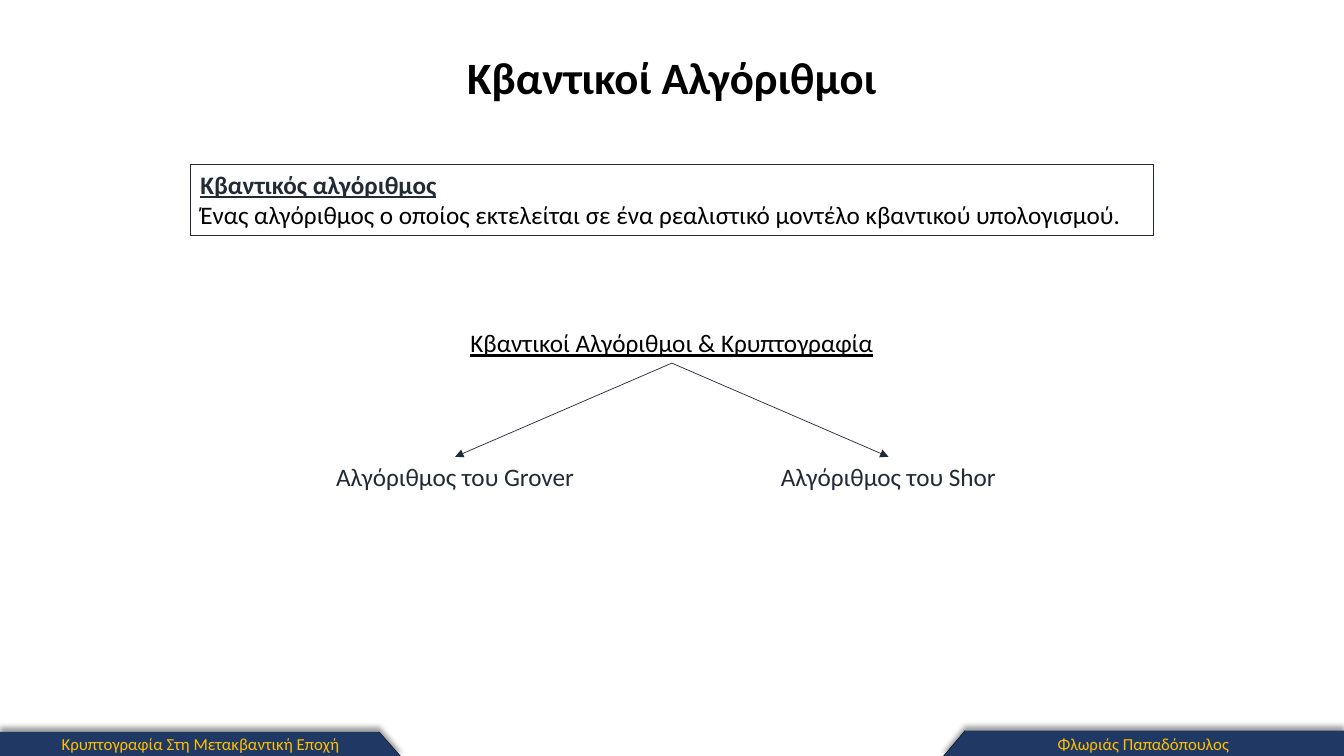
from lxml import etree
from pptx import Presentation
from pptx import util as u
from pptx.dml import color
from pptx.enum import shapes, text
from pptx.oxml import ns

INK, BLACK, NAVY, GOLD = "222A35", "000000", "203864", "FFC000"
WIDTH, HEIGHT = u.Cm(33.87), u.Cm(19.05)


def rgb(value):
    return color.RGBColor.from_string(value)


def write(paragraph, content, size=18, ink=INK, bold=False, underline=False, align=text.PP_ALIGN.CENTER):
    paragraph.alignment = align
    run = paragraph.add_run()
    run.text = content
    font = run.font
    font.name, font.size, font.bold, font.underline = "Calibri", u.Pt(size), bold, underline
    font.color.rgb = rgb(ink)


def place(shape, left, top, width, height):
    shape.left, shape.top, shape.width, shape.height = left, top, width, height


def add_title(slide, left, top, width, height):
    title = slide.shapes.title
    place(title, left, top, width, height)
    frame = title.text_frame
    frame.word_wrap = False
    frame.auto_size = text.MSO_AUTO_SIZE.SHAPE_TO_FIT_TEXT
    write(frame.paragraphs[0], "Κβαντικοί Αλγόριθμοι", size=32, ink=BLACK, bold=True)


def add_definition(slide, left, top, width, height):
    box = slide.shapes.add_shape(shapes.MSO_SHAPE.RECTANGLE, left, top, width, height)
    box.shadow.inherit = False
    box.fill.background()
    box.line.color.rgb = rgb(INK)
    box.line.width = u.Pt(0.75)
    frame = box.text_frame
    frame.word_wrap = True
    frame.auto_size = text.MSO_AUTO_SIZE.SHAPE_TO_FIT_TEXT
    frame.vertical_anchor = text.MSO_ANCHOR.TOP
    left_align = text.PP_ALIGN.LEFT
    write(frame.paragraphs[0], "Κβαντικός αλγόριθμος", bold=True, underline=True, align=left_align)
    write(frame.add_paragraph(),
          "Ένας αλγόριθμος ο οποίος εκτελείται σε ένα ρεαλιστικό μοντέλο κβαντικού υπολογισμού.",
          ink=BLACK, align=left_align)


def add_label(slide, content, left, top, width, **style):
    label = slide.shapes.add_textbox(left, top, width, u.Cm(1.02))
    label.text_frame.word_wrap = True
    label.text_frame.auto_size = text.MSO_AUTO_SIZE.SHAPE_TO_FIT_TEXT
    write(label.text_frame.paragraphs[0], content, **style)
    return label


def add_line(slide, start, end, ink, weight, arrow=False):
    line = slide.shapes.add_connector(shapes.MSO_CONNECTOR.STRAIGHT, *start, *end)
    line.line.color.rgb = rgb(ink)
    line.line.width = u.Pt(weight)
    if arrow:
        etree.SubElement(line.line._get_or_add_ln(), ns.qn("a:tailEnd"), type="triangle")
    etree.SubElement(line._element.spPr, ns.qn("a:effectLst"))
    return line


def add_tree(slide, left, top, width, height):
    root_width, leaf_width, leaf_height = u.Cm(10.74), u.Cm(6.68), u.Cm(1.02)
    root = add_label(slide, "Κβαντικοί Αλγόριθμοι & Κρυπτογραφία", left + (width - root_width) // 2,
                     top, root_width, ink=BLACK, underline=True)
    leaf_top = top + height - leaf_height
    for name, leaf_left in (("Grover", left), ("Shor", left + width - leaf_width)):
        leaf = add_label(slide, f"Αλγόριθμος του {name}", leaf_left, leaf_top, leaf_width)
        arrow = add_line(slide, (0, 0), (0, 0), INK, 0.5, arrow=True)
        arrow.begin_connect(root, 2)
        arrow.end_connect(leaf, 0)


def add_footer_tab(slide, content, left, top, width, height, slant_left):
    slant = u.Cm(0.56)
    right, bottom = left + width, top + height
    if slant_left:
        outer, tip, corner = right, left, left + slant
    else:
        outer, tip, corner = left, right, right - slant
    builder = slide.shapes.build_freeform(outer, top)
    builder.add_line_segments([(corner, top), (tip, bottom), (outer, bottom)], close=True)
    tab = builder.convert_to_shape()
    tab.fill.solid()
    tab.fill.fore_color.rgb = rgb(NAVY)
    tab.line.fill.background()
    tab.shadow.inherit = False
    effects = tab._element.spPr.find(ns.qn("a:effectLst"))
    shadow = etree.SubElement(effects, ns.qn("a:outerShdw"), blurRad=str(u.Pt(4)), dist=str(u.Pt(3)),
                              dir="16200000", rotWithShape="0")
    tint = etree.SubElement(shadow, ns.qn("a:srgbClr"), val=BLACK)
    etree.SubElement(tint, ns.qn("a:alpha"), val="40000")
    tab.text_frame.word_wrap = True
    tab.text_frame.vertical_anchor = text.MSO_ANCHOR.MIDDLE
    write(tab.text_frame.paragraphs[0], content, size=12, ink=GOLD)
    add_line(slide, (corner, top), (tip, bottom), BLACK, 0.25)


def main():
    presentation = Presentation()
    presentation.slide_width, presentation.slide_height = WIDTH, HEIGHT
    slide = presentation.slides.add_slide(presentation.slide_layouts[5])
    add_title(slide, u.Cm(11.46), u.Cm(1.12), u.Cm(10.95), u.Cm(1.63))
    add_definition(slide, u.Cm(4.8), u.Cm(4.14), u.Cm(24.26), u.Cm(1.8))
    add_tree(slide, u.Cm(8.13), u.Cm(8.13), u.Cm(17.6), u.Cm(4.4))
    tab_width = u.Cm(10.11)
    add_footer_tab(slide, "Φλωριάς Παπαδόπουλος", WIDTH - tab_width, u.Cm(18.41),
                   tab_width, u.Cm(0.66), slant_left=True)
    add_footer_tab(slide, "Κρυπτογραφία Στη Μετακβαντική Εποχή", 0, u.Cm(18.44),
                   tab_width, u.Cm(0.63), slant_left=False)
    presentation.save("out.pptx")


if __name__ == "__main__":
    main()
